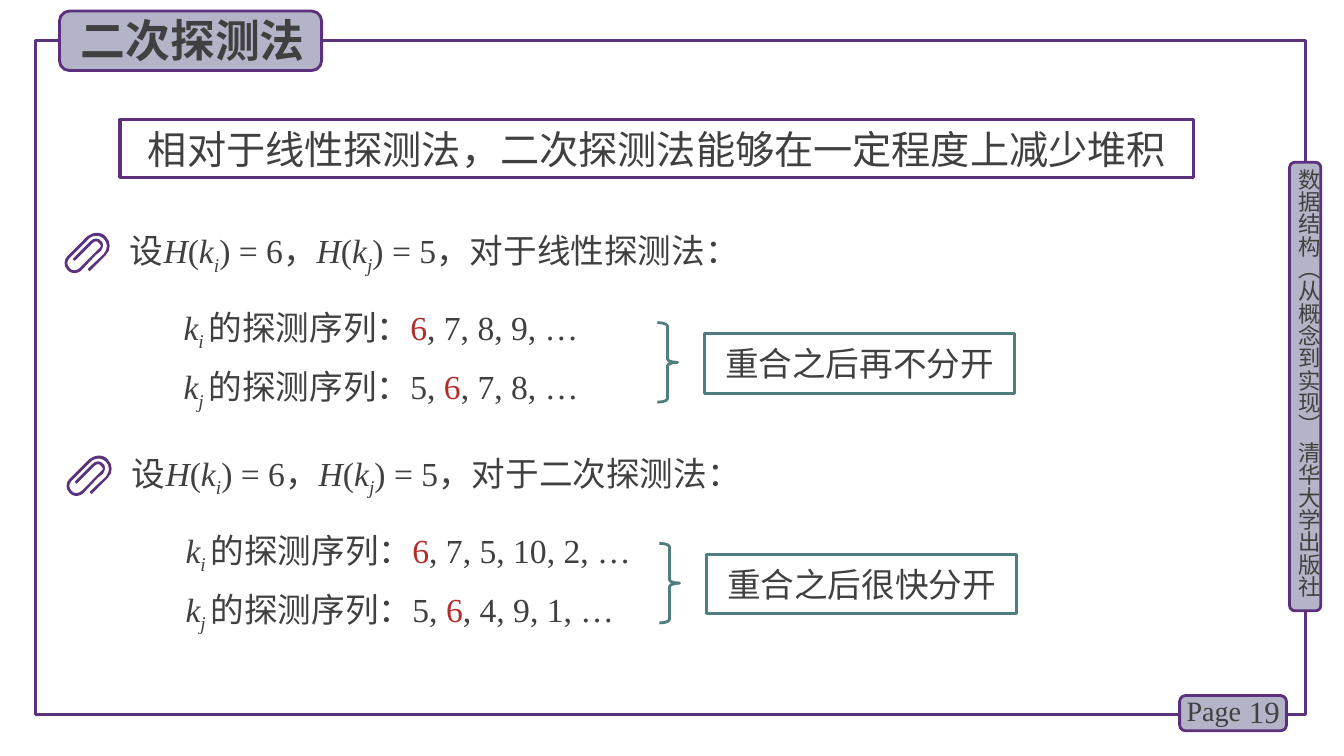
from lxml import etree
from pptx import Presentation
from pptx import util as u
from pptx.dml.color import RGBColor
from pptx.enum import shapes, text
from pptx.oxml.ns import qn

PX = 9144  # 100 px to the inch
CJK, LATIN = "Noto Sans CJK SC", "Times New Roman"
PURPLE, PLATE, TEAL = "5C307D", "B4B4C8", "507D7D"
GREY, RED = "404040", "B42D2D"
LEFT, CENTER, RIGHT = text.PP_ALIGN.LEFT, text.PP_ALIGN.CENTER, text.PP_ALIGN.RIGHT
KIND = shapes.MSO_SHAPE

# Paperclip outline: pairs are straight steps, sextuples are Bezier curves
CLIP_START = (105, 235)
CLIP = [
    (103, 232, 99, 231, 96, 231), (92, 231, 89, 233, 86, 235), (67, 254),
    (63, 258, 63, 264, 67, 268), (69, 270, 71, 271, 74, 271),
    (76, 271, 79, 270, 81, 268), (95, 253), (100, 249),
    (101, 247, 102, 246, 102, 244), (102, 242, 102, 240, 100, 239),
    (98, 236, 93, 236, 90, 239), (73, 256),
    (72, 257, 72, 258, 73, 258), (73, 258, 74, 259, 74, 259),
    (74, 259, 74, 258, 75, 258), (92, 241),
    (94, 239, 97, 239, 98, 241), (99, 242, 100, 243, 100, 244),
    (100, 245, 99, 246, 98, 247), (79, 266),
    (76, 269, 71, 269, 69, 266), (66, 263, 66, 259, 69, 256), (88, 237),
    (90, 235, 93, 234, 96, 234), (98, 234, 101, 235, 103, 237),
    (107, 241, 107, 247, 103, 252), (88, 266),
    (87, 267, 87, 268, 88, 268), (88, 269, 88, 269, 89, 269),
    (89, 269, 89, 269, 90, 268), (105, 253),
    (110, 248, 110, 240, 105, 235),
]


def color(value):
    return RGBColor.from_string(value)


def place(box, at):
    box.left, box.top, box.width, box.height = (n * PX for n in at)


def write(box, paragraphs, size, align=LEFT, font=LATIN, bold=False, inset=True):
    """Fill a box; each paragraph is a list of (text, style) runs."""
    frame = box.text_frame
    frame.word_wrap = True
    frame.auto_size = text.MSO_AUTO_SIZE.NONE
    frame.vertical_anchor = text.MSO_ANCHOR.MIDDLE
    if not inset:
        frame.margin_left = frame.margin_right = 0
        frame.margin_top = frame.margin_bottom = 0
    for index, runs in enumerate(paragraphs):
        para = frame.add_paragraph() if index else frame.paragraphs[0]
        if box.is_placeholder:
            props = para._p.get_or_add_pPr()
            props.set("marL", "0")
            props.set("indent", "0")
            etree.SubElement(props, qn("a:buNone"))
        para.alignment = align
        para.space_before = u.Pt(9.6 if index else 0)
        for words, style in runs:
            span = para.add_run()
            span.text = words
            span.font.size = u.Pt(size)
            span.font.bold = bold
            span.font.italic = style in ("var", "sub")
            span.font.color.rgb = color(RED if style == "red" else GREY)
            span.font.name = font
            run_props = span._r.get_or_add_rPr()
            etree.SubElement(run_props, qn("a:ea")).set("typeface", CJK)
            if style == "sub":
                run_props.set("baseline", "-25000")


def add_box(page, kind, at, line, weight, fill=None):
    box = page.shapes.add_shape(kind, *(n * PX for n in at))
    box.shadow.inherit = False
    box.line.color.rgb = color(line)
    box.line.width = u.Pt(weight)
    if fill:
        box.fill.solid()
        box.fill.fore_color.rgb = color(fill)
    else:
        box.fill.background()
    return box


def add_plate(page, at):
    return add_box(page, KIND.ROUNDED_RECTANGLE, at, PURPLE, 2, PLATE)


def add_label(page, at, words, size, **options):
    box = page.shapes.add_textbox(*(n * PX for n in at))
    write(box, [[(words, "")]] if isinstance(words, str) else words, size, **options)
    return box


def add_clip(page, dx, dy):
    x, y = CLIP_START
    points = []
    for step in CLIP:
        if len(step) == 2:
            points.append(step)
        else:
            x1, y1, x2, y2, x3, y3 = step
            for t in (0.25, 0.5, 0.75, 1):
                s = 1 - t
                weights = (s**3, 3 * s * s * t, 3 * s * t * t, t**3)
                points.append((
                    sum(w * n for w, n in zip(weights, (x, x1, x2, x3))),
                    sum(w * n for w, n in zip(weights, (y, y1, y2, y3)))))
        x, y = step[-2:]
    builder = page.shapes.build_freeform(
        (CLIP_START[0] + dx) * PX, (CLIP_START[1] + dy) * PX, scale=1.0)
    builder.add_line_segments([((px + dx) * PX, (py + dy) * PX) for px, py in points])
    clip = builder.convert_to_shape()
    clip.shadow.inherit = False
    clip.fill.solid()
    clip.fill.fore_color.rgb = color("5A327D")
    clip.line.fill.background()


def sequence(index, before, after):
    return [("k", "var"), (index + " ", "sub"), ("的探测序列：" + before, ""),
            ("6", "red"), (after, "")]


def add_case(page, body, dx, dy, brace_top, method, tails, verdict):
    """One probing method: premise, two sequences and the verdict."""
    premise = [("设", "")]
    for index, ending in (("i", ") = 6，"), ("j", f") = 5，对于{method}：")):
        premise += [("H", "var"), ("(", ""), ("k", "var"), (index, "sub"), (ending, "")]
    add_label(page, (119 + dx, 226 + dy, 1065, 50), [premise], 24)
    add_clip(page, dx, dy)

    place(body, (172 + dx, 301 + dy, 481, 111))
    write(body, [sequence("i", "", tails[0]), sequence("j", "5, ", tails[1])], 24)

    brace = add_box(page, KIND.RIGHT_BRACE, (652 + dx, brace_top, 20, 79), TEAL, 2)
    brace.adjustments[0] = 0.17
    brace.adjustments[1] = 0.5
    box = add_box(page, KIND.RECTANGLE, (699 + dx, brace_top + 11, 307, 59), TEAL, 2.25)
    write(box, [[(verdict, "")]], 24, align=CENTER)


def main():
    deck = Presentation()
    deck.slide_width, deck.slide_height = 1333 * PX, 750 * PX
    page = deck.slides.add_slide(deck.slide_layouts[3])
    title, first_list, second_list = page.placeholders

    # Frame, side label and page number
    add_box(page, KIND.RECTANGLE, (35, 40, 1260, 669), "5A327D", 2.25)
    add_plate(page, (1279, 161, 31, 445))
    side = add_label(page, (1285, 167, 27, 449),
                     "数据结构（从概念到实现） 清华大学出版社", 16, font=CJK, inset=False)
    side.text_frame._txBody.bodyPr.set("vert", "eaVert")
    add_plate(page, (1170, 690, 106, 35))
    add_label(page, (1220, 686, 59, 40), "19", 22, align=RIGHT)
    add_label(page, (1167, 683, 78, 44), "Page", 20)

    # Title on its plate
    plate = add_plate(page, (59, 11, 260, 59))
    plate.element.addnext(title.element)
    place(title, (70, 7, 265, 64))
    write(title, [[("二次探测法", "")]], 32, font=CJK, bold=True)

    # Main statement
    banner = add_box(page, KIND.RECTANGLE, (119, 119, 1065, 57), PURPLE, 2.25)
    write(banner, [[("相对于线性探测法，二次探测法能够在一定程度上减少堆积", "")]],
          28, align=CENTER, font=CJK)

    # The two methods compared
    add_case(page, first_list, 0, 0, 320, "线性探测法",
             (", 7, 8, 9, …", ", 7, 8, …"), "重合之后再不分开")
    add_case(page, second_list, 2, 221, 539, "二次探测法",
             (", 7, 5, 10, 2, …", ", 4, 9, 1, …"), "重合之后很快分开")

    deck.save("out.pptx")


if __name__ == "__main__":
    main()
